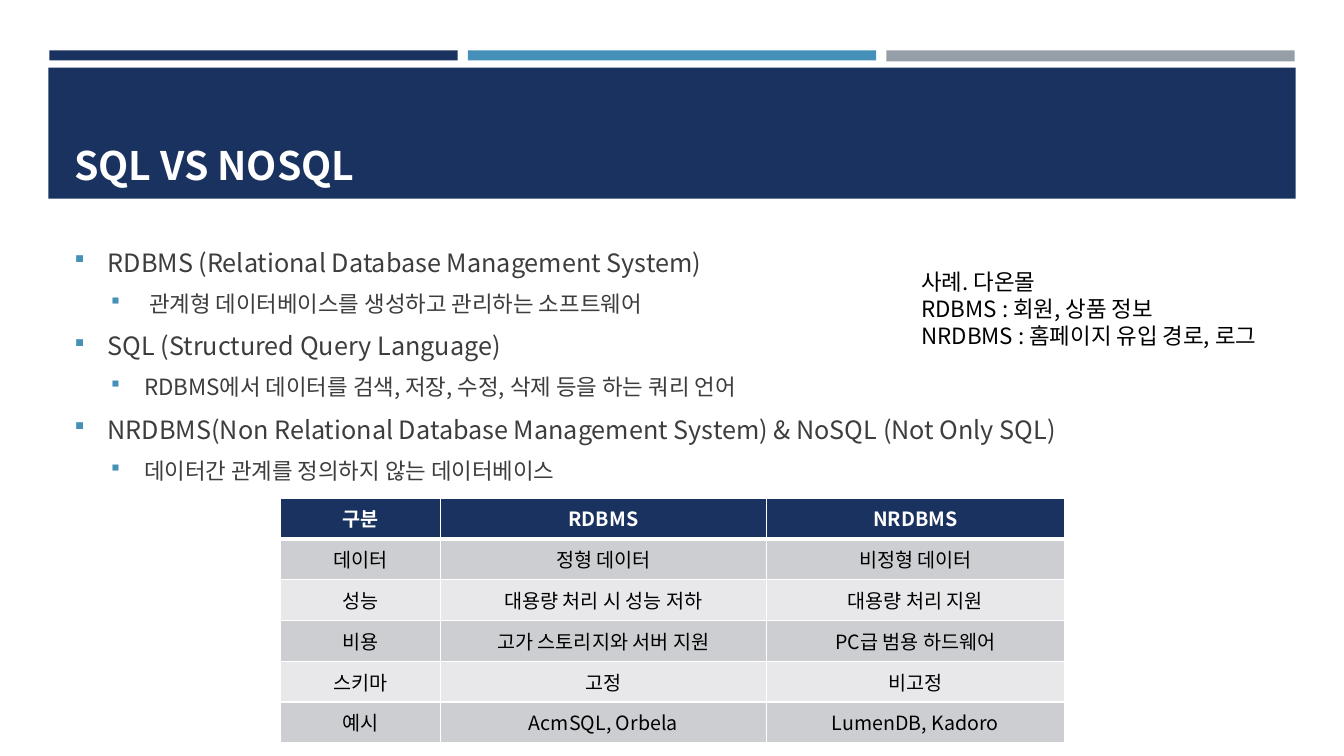
"""Build the SQL and NoSQL comparison slide."""
from typing import NamedTuple

from lxml import etree
from pptx import Presentation
from pptx import util as u
from pptx.dml import color as col
from pptx.enum import shapes, text
from pptx.oxml import ns

FONT = "Noto Sans CJK KR"
NAVY, BLUE, GRAY = "1A3260", "4590B8", "969FA7"
WHITE, BLACK, DARK = "FFFFFF", "000000", "3D3D3D"
BANDS = ("E8E8EA", "CDCED2")


class Bar(NamedTuple):
    left: float
    top: float
    width: float
    height: float
    fill: str


class Line(NamedTuple):
    words: str
    size: float
    color: str
    level: int = -1
    bold: bool = False


class Block(NamedTuple):
    box: tuple[float, float, float, float]
    lines: list[Line]
    frame: dict


BARS = [
    Bar(0.49, 0.5, 4.05, 0.1, NAVY),
    Bar(4.64, 0.5, 4.05, 0.1, BLUE),
    Bar(8.79, 0.5, 4.05, 0.11, GRAY),
    Bar(0.48, 0.67, 12.37, 1.3, NAVY),
]

TOPICS = [
    ("RDBMS (Relational Database Management System)",
     " 관계형 데이터베이스를 생성하고 관리하는 소프트웨어"),
    ("SQL (Structured Query Language)",
     "RDBMS에서 데이터를 검색, 저장, 수정, 삭제 등을 하는 쿼리 언어"),
    ("NRDBMS(Non Relational Database Management System) & NoSQL (Not Only SQL)",
     "데이터간 관계를 정의하지 않는 데이터베이스"),
]
NOTES = ["사례. 다온몰", "RDBMS : 회원, 상품 정보", "NRDBMS : 홈페이지 유입 경로, 로그"]

BLOCKS = [
    Block((0.64, 0.77, 12.06, 1.11),
          [Line("SQL VS NOSQL", 28, WHITE, bold=True)],
          {"word_wrap": True, "vertical_anchor": text.MSO_ANCHOR.BOTTOM,
           "margin_bottom": u.Inches(0.01)}),
    Block((0.64, 2.38, 12.06, 4.02),
          [Line(words, 18 - 2 * level, DARK, level)
           for pair in TOPICS for level, words in enumerate(pair)],
          {"word_wrap": True, "margin_top": u.Inches(0.07)}),
    Block((9.04, 2.59, 3.87, 0.91),
          [Line(words, 16, BLACK) for words in NOTES],
          {"word_wrap": False, "margin_top": u.Inches(0.07)}),
]

COLS = (1.59, 3.23, 2.96)
ROWS = [
    ("구분", "RDBMS", "NRDBMS"),
    ("데이터", "정형 데이터", "비정형 데이터"),
    ("성능", "대용량 처리 시 성능 저하", "대용량 처리 지원"),
    ("비용", "고가 스토리지와 서버 지원", "PC급 범용 하드웨어"),
    ("스키마", "고정", "비고정"),
    ("예시", "AcmSQL, Orbela", "LumenDB, Kadoro"),
]


def rgb(code: str) -> col.RGBColor:
    """Turn a hex string into a colour."""
    return col.RGBColor.from_string(code)


def apply(item, values: dict) -> None:
    """Set each named value on the item."""
    for key, value in values.items():
        setattr(item, key, value)


def add(node, tag: str, **attrs: str):
    """Append a drawing element to the node."""
    return etree.SubElement(node, ns.qn(f"a:{tag}"), attrs)


def paint(item, code: str) -> None:
    """Fill a shape or cell with one colour."""
    item.fill.solid()
    item.fill.fore_color.rgb = rgb(code)


def write(para, line: Line) -> None:
    """Write one styled run."""
    run = para.add_run()
    run.text = line.words
    apply(run.font, {"name": FONT, "size": u.Pt(line.size), "bold": line.bold})
    run.font.color.rgb = rgb(line.color)
    add(run.font._element, "ea", typeface=FONT)


def bullet(para, line: Line) -> None:
    """Give a paragraph its indent and square bullet."""
    apply(para, {"level": line.level, "space_after": u.Pt(6),
                 "space_before": u.Pt(0.2 * line.size)})
    props = para._p.get_or_add_pPr()
    props.set("marL", str(u.Inches(0.33 + 0.36 * line.level)))
    props.set("indent", str(u.Inches(-0.33)))
    add(add(props, "buClr"), "srgbClr", val=BLUE)
    add(props, "buSzPct", val="92000")
    add(props, "buFont", typeface="Wingdings", charset="2")
    add(props, "buChar", char="§")


def draw_bar(slide, bar: Bar) -> None:
    """Draw one plain rectangle."""
    shape = slide.shapes.add_shape(
        shapes.MSO_SHAPE.RECTANGLE, *map(u.Inches, bar[:4]))
    shape.shadow.inherit = False
    paint(shape, bar.fill)
    shape.line.fill.background()


def draw_block(slide, block: Block) -> None:
    """Draw one text box."""
    frame = slide.shapes.add_textbox(*map(u.Inches, block.box)).text_frame
    apply(frame, block.frame)
    for i, line in enumerate(block.lines):
        para = frame.add_paragraph() if i else frame.paragraphs[0]
        para.line_spacing = u.Pt(1.2 * line.size)
        if line.level >= 0:
            bullet(para, line)
        write(para, line)


def edge(cell, head: bool) -> None:
    """Draw the white borders of a cell, with a thick rule under the head."""
    props = cell._tc.get_or_add_tcPr()
    for i, side in enumerate(("lnL", "lnR", "lnT", "lnB")):
        width = u.Pt(3 if head and side == "lnB" else 1)
        rule = etree.Element(ns.qn(f"a:{side}"), {"w": str(width)})
        add(add(rule, "solidFill"), "srgbClr", val=WHITE)
        props.insert(i, rule)


def draw_table(slide) -> None:
    """Draw the comparison table."""
    table = slide.shapes.add_table(
        len(ROWS), len(COLS), u.Inches(2.78), u.Inches(4.94),
        u.Inches(sum(COLS)), u.Inches(2.43)).table
    for column, width in zip(table.columns, COLS):
        column.width = u.Inches(width)
    for r, row in enumerate(ROWS):
        head = r == 0
        for c, words in enumerate(row):
            cell = table.cell(r, c)
            cell.vertical_anchor = text.MSO_ANCHOR.MIDDLE
            paint(cell, NAVY if head else BANDS[r % 2])
            edge(cell, head)
            para = cell.text_frame.paragraphs[0]
            para.alignment = text.PP_ALIGN.CENTER
            write(para, Line(words, 14, WHITE if head else BLACK, bold=head))


def main() -> None:
    """Build and save the slide."""
    deck = Presentation()
    apply(deck, {"slide_width": u.Inches(13.33), "slide_height": u.Inches(7.5)})
    slide = deck.slides.add_slide(deck.slide_layouts[6])
    for bar in BARS:
        draw_bar(slide, bar)
    for block in BLOCKS:
        draw_block(slide, block)
    draw_table(slide)
    deck.save("out.pptx")


if __name__ == "__main__":
    main()
